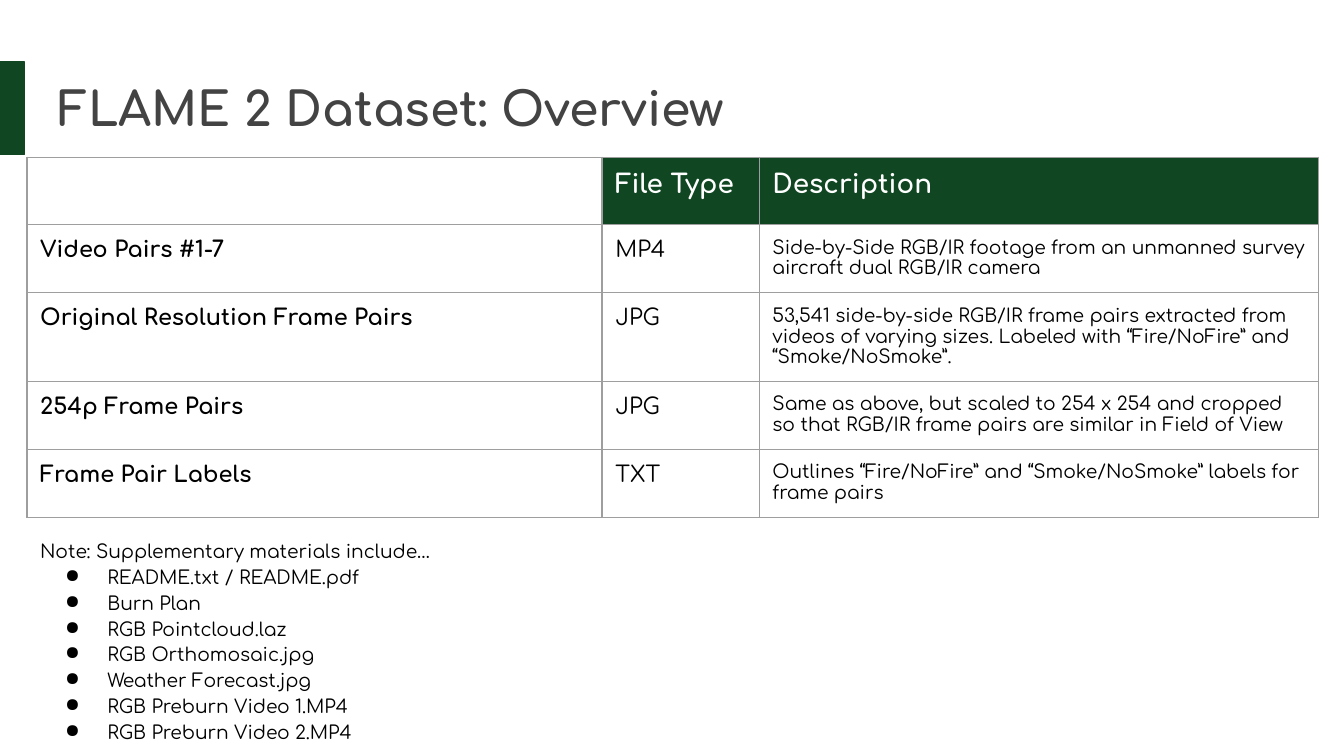
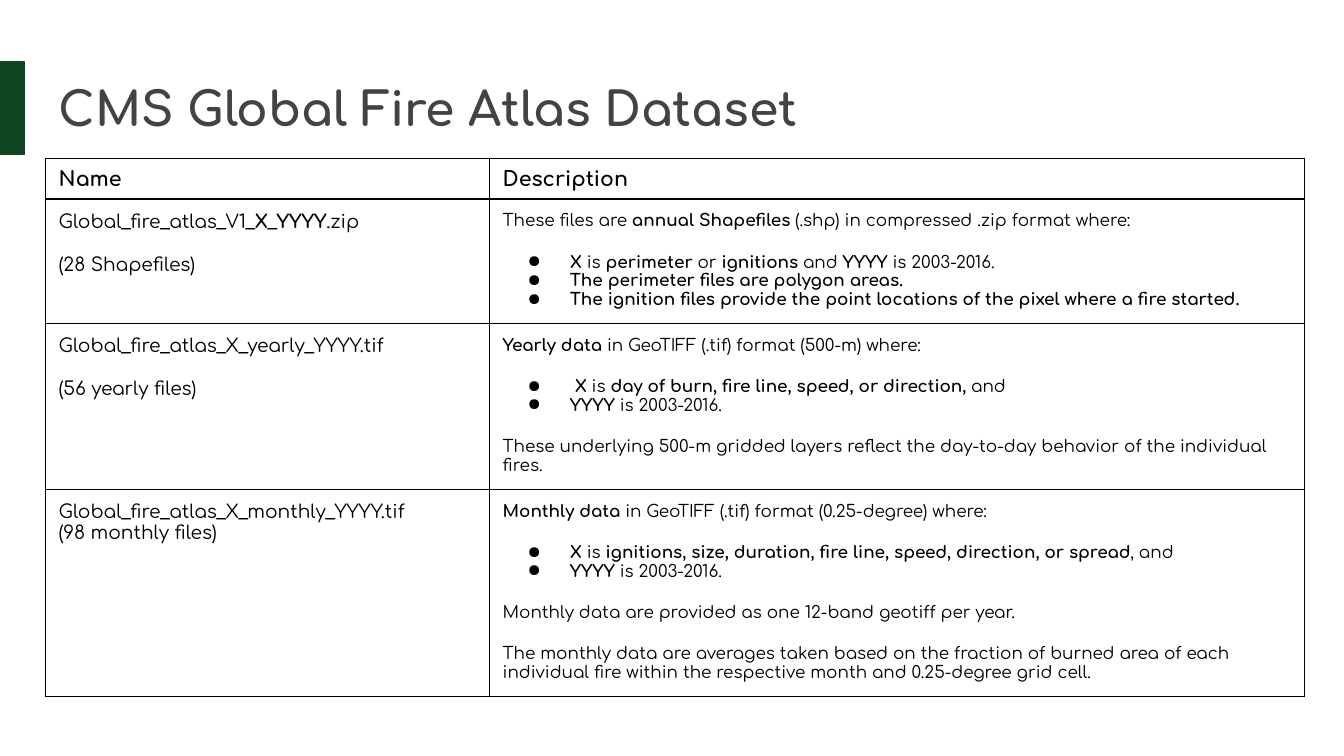
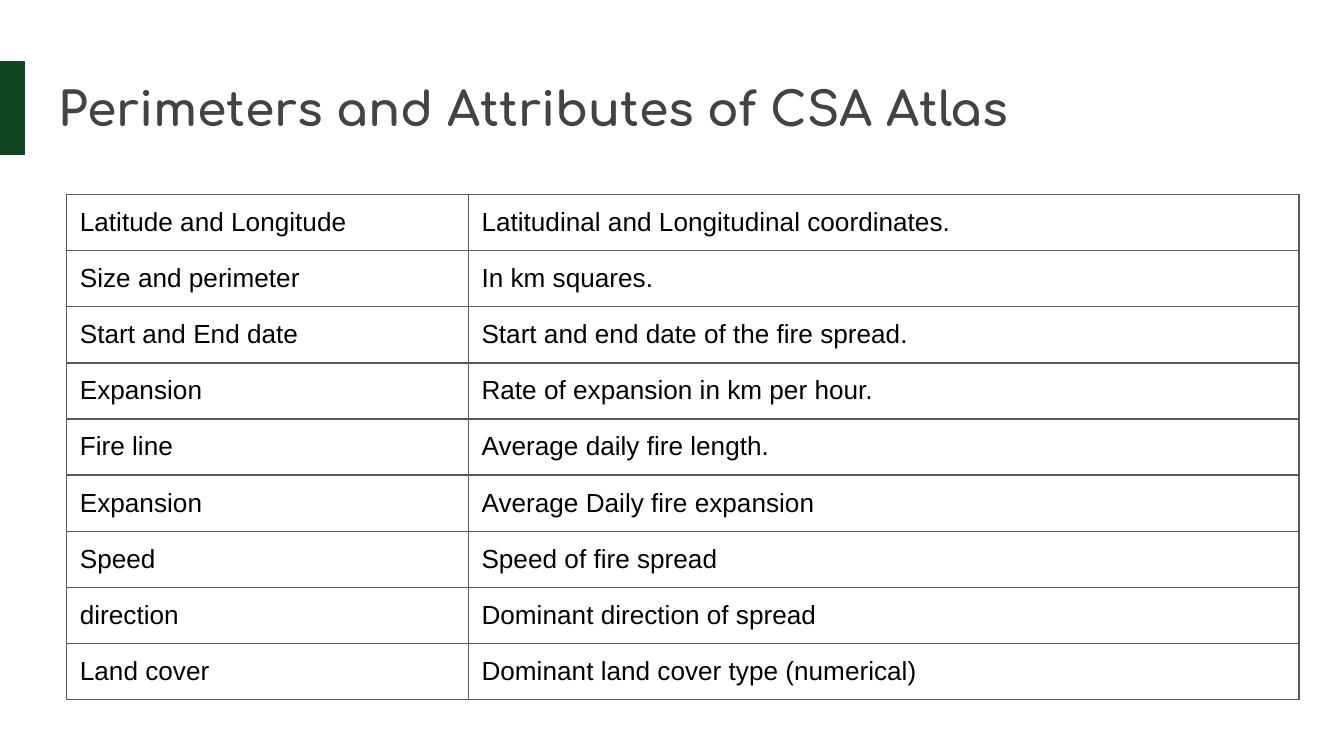
from collections import namedtuple

from lxml.etree import SubElement
from pptx import Presentation
from pptx.dml.color import RGBColor
from pptx.enum.shapes import MSO_SHAPE
from pptx.enum.text import MSO_ANCHOR, MSO_AUTO_SIZE, PP_ALIGN
from pptx.oxml.ns import qn
from pptx.util import Cm, Pt

COLORS = {
    "forest": "104722",
    "title": "434343",
    "ink": "000000",
    "paper": "FFFFFF",
    "soft_rule": "9E9E9E",
    "dark_rule": "595959",
}
INSET = Cm(0.25)
INSETS = {f"margin_{side}": INSET for side in ("left", "right", "top", "bottom")}
FLAT_INSETS = {**INSETS, "margin_top": 0, "margin_bottom": 0,
               "vertical_anchor": MSO_ANCHOR.MIDDLE}

Box = namedtuple("Box", "left top width height")
Para = namedtuple("Para", "text bullet gap spacing", defaults=(False, 0, 1.0))
Style = namedtuple("Style", "size bold color font", defaults=(False, "ink", "Comfortaa"))
Look = namedtuple("Look", "style fill frame", defaults=("paper", INSETS))

BAND = Box(0, 1.17, 0.46, 1.75)
HEADING = Box(0.86, 1.24, 23.67, 1.6)
HEADING_STYLE = Style(25.2, True, "title")

FLAME_HEAD = Look(Style(14, True, "paper"), "forest")
FLAME_LOOKS = [Look(Style(12, True)), Look(Style(12)), Look(Style(10))]
FLAME_ROWS = [
    ["", "File Type", "Description"],
    ["Video Pairs #1-7", "MP4",
     "Side-by-Side RGB/IR footage from an unmanned survey aircraft dual RGB/IR camera"],
    ["Original Resolution Frame Pairs", "JPG",
     "53,541 side-by-side RGB/IR frame pairs extracted from videos of varying sizes. "
     "Labeled with “Fire/NoFire” and “Smoke/NoSmoke”."],
    ["254p Frame Pairs", "JPG",
     "Same as above, but scaled to 254 x 254 and cropped so that RGB/IR frame pairs "
     "are similar in Field of View"],
    ["Frame Pair Labels", "TXT",
     "Outlines “Fire/NoFire” and “Smoke/NoSmoke” labels for frame pairs"],
]
SUPPLEMENTS = [
    "README.txt / README.pdf", "Burn Plan", "RGB Pointcloud.laz", "RGB Orthomosaic.jpg",
    "Weather Forecast.jpg", "RGB Preburn Video 1.MP4", "RGB Preburn Video 2.MP4",
]

ATLAS_HEAD = Look(Style(11, True), "paper", FLAT_INSETS)
ATLAS_LOOKS = [Look(Style(10)), Look(Style(9))]
ATLAS_ROWS = [
    [[Para("Name", spacing=1.15)], [Para("Description", spacing=1.15)]],
    [
        [Para("Global_fire_atlas_V1_**X**_**YYYY**.zip"), Para("(28 Shapefiles)", gap=12)],
        [
            Para("These files are **annual Shapefiles** (.shp) in compressed .zip format where:"),
            Para("**X** is **perimeter** or **ignitions** and **YYYY** is 2003-2016.", True, 12),
            Para("**The perimeter files are polygon areas.**", True),
            Para("**The ignition files provide the point locations of the pixel "
                 "where a fire started.**", True),
        ],
    ],
    [
        [Para("Global_fire_atlas_X_yearly_YYYY.tif"), Para("(56 yearly files)", gap=12)],
        [
            Para("**Yearly data** in GeoTIFF (.tif) format (500-m) where:"),
            Para(" **X** is **day of burn, fire line, speed, or direction, **and", True, 12),
            Para("**YYYY** is 2003-2016.", True),
            Para("These underlying 500-m gridded layers reflect the day-to-day behavior "
                 "of the individual fires.", gap=12),
        ],
    ],
    [
        [Para("Global_fire_atlas_X_monthly_YYYY.tif"), Para("(98 monthly files)")],
        [
            Para("**Monthly data** in GeoTIFF (.tif) format (0.25-degree) where:"),
            Para("**X** is **ignitions, size, duration, fire line, speed, direction, "
                 "or spread**, and", True, 12),
            Para("**YYYY** is 2003-2016.", True),
            Para("Monthly data are provided as one 12-band geotiff per year.", gap=12),
            Para("The monthly data are averages taken based on the fraction of burned area "
                 "of each individual fire within the respective month and 0.25-degree "
                 "grid cell.", gap=12),
        ],
    ],
]

ATTRIBUTE_LOOKS = [Look(Style(14, font="Arial"))] * 2
ATTRIBUTE_ROWS = [
    ["Latitude and Longitude", "Latitudinal and Longitudinal coordinates."],
    ["Size and perimeter", "In km squares."],
    ["Start and End date", "Start and end date of the fire spread."],
    ["Expansion", "Rate of expansion in km per hour."],
    ["Fire line", "Average daily fire length."],
    ["Expansion", "Average Daily fire expansion"],
    ["Speed", "Speed of fire spread"],
    ["direction", "Dominant direction of spread"],
    ["Land cover", "Dominant land cover type (numerical)"],
]


def rgb(name):
    """Return the named colour."""
    return RGBColor.from_string(COLORS[name])


def apply(target, values):
    """Set each format value on the target."""
    for attribute, value in values.items():
        setattr(target, attribute, value)


def place(shape, box):
    """Move a shape to a box given in centimetres."""
    apply(shape, {side: Cm(length) for side, length in box._asdict().items()})


def add_bullet(paragraph):
    """Give a paragraph a hanging round bullet."""
    properties = paragraph._p.get_or_add_pPr()
    properties.set("marL", str(Cm(1.27)))
    properties.set("indent", str(-Cm(0.8)))
    tint = SubElement(properties, qn("a:buClr"))
    SubElement(tint, qn("a:srgbClr"), val=COLORS["ink"])
    SubElement(properties, qn("a:buChar"), char="●")


def write(frame, paras, style):
    """Fill a text frame, with bold between double asterisks."""
    for index, para in enumerate(paras):
        paragraph = frame.add_paragraph() if index else frame.paragraphs[0]
        apply(paragraph, {"alignment": PP_ALIGN.LEFT, "line_spacing": para.spacing,
                          "space_before": Pt(para.gap)})
        if para.bullet:
            add_bullet(paragraph)
        for position, part in enumerate(para.text.split("**")):
            if part:
                run = paragraph.add_run()
                run.text = part
                apply(run.font, {"name": style.font, "size": Pt(style.size),
                                 "bold": style.bold or position % 2 == 1})
                run.font.color.rgb = rgb(style.color)


def add_borders(cell, color):
    """Rule all four sides of a cell."""
    properties = cell._tc.get_or_add_tcPr()
    for side in "LRTB":
        rule = SubElement(properties, qn(f"a:ln{side}"), w=str(Pt(0.75)))
        fill = SubElement(rule, qn("a:solidFill"))
        SubElement(fill, qn("a:srgbClr"), val=COLORS[color])


def fill_cell(cell, content, look, rule):
    """Rule, colour and write one cell."""
    add_borders(cell, rule)
    apply(cell, look.frame)
    if not content:
        cell.fill.background()
        return
    cell.fill.solid()
    cell.fill.fore_color.rgb = rgb(look.fill)
    paras = [Para(content)] if isinstance(content, str) else content
    write(cell.text_frame, paras, look.style)


def add_grid(slide, corner, widths, heights, rows, looks, rule, head=None):
    """Build a table from its corner, column widths and row heights."""
    box = Box(*corner, sum(widths), sum(heights))
    grid = slide.shapes.add_table(len(rows), len(widths), *map(Cm, box)).table
    apply(grid, {"first_row": head is not None, "horz_banding": False})
    for column, width in zip(grid.columns, widths):
        column.width = Cm(width)
    for r, (contents, height) in enumerate(zip(rows, heights)):
        grid.rows[r].height = Cm(height)
        for c, content in enumerate(contents):
            look = head if head and r == 0 else looks[c]
            fill_cell(grid.cell(r, c), content, look, rule)


def add_titled_slide(deck, heading):
    """Add a slide with the green side band and its title."""
    slide = deck.slides.add_slide(deck.slide_layouts[5])
    band = slide.shapes.add_shape(MSO_SHAPE.RECTANGLE, *map(Cm, BAND))
    band.shadow.inherit = False
    band.fill.solid()
    band.fill.fore_color.rgb = band.line.color.rgb = rgb("forest")
    band.line.width = Pt(0.75)
    title = slide.shapes.title
    place(title, HEADING)
    apply(title.text_frame, {**INSETS, "word_wrap": True, "auto_size": MSO_AUTO_SIZE.NONE,
                             "vertical_anchor": MSO_ANCHOR.MIDDLE})
    write(title.text_frame, [Para(heading)], HEADING_STYLE)
    return slide


def add_supplements(slide, box):
    """List the supplementary materials in a box."""
    note = slide.shapes.add_textbox(*map(Cm, box)).text_frame
    apply(note, {**INSETS, "word_wrap": True})
    lines = [Para(name, bullet=True, spacing=1.15) for name in SUPPLEMENTS]
    write(note, [Para("Note: Supplementary materials include…"), *lines], Style(10))


def flame_slide(deck):
    """Show the parts of the FLAME 2 dataset."""
    slide = add_titled_slide(deck, "FLAME 2 Dataset: Overview")
    add_grid(slide, (0.51, 2.97), [10.87, 2.97, 10.57], [1.23, 1.29, 1.66, 1.29, 1.29],
             FLAME_ROWS, FLAME_LOOKS, "soft_rule", FLAME_HEAD)
    add_supplements(slide, Box(0.51, 9.96, 24.41, 4.32))


def atlas_slide(deck):
    """Show the files of the fire atlas."""
    slide = add_titled_slide(deck, "CMS Global Fire Atlas Dataset")
    add_grid(slide, (0.86, 2.99), [8.39, 15.4], [0.77, 2.35, 3.14, 3.92],
             ATLAS_ROWS, ATLAS_LOOKS, "ink", ATLAS_HEAD)


def attributes_slide(deck):
    """Show the attributes recorded for each fire."""
    slide = add_titled_slide(deck, "Perimeters and Attributes of CSA Atlas")
    add_grid(slide, (1.26, 3.68), [7.59, 15.7], [1.06] * len(ATTRIBUTE_ROWS),
             ATTRIBUTE_ROWS, ATTRIBUTE_LOOKS, "dark_rule")


def main():
    """Build the deck and save it."""
    deck = Presentation()
    apply(deck, {"slide_width": Cm(25.4), "slide_height": Cm(14.29)})
    for build in (flame_slide, atlas_slide, attributes_slide):
        build(deck)
    deck.save("out.pptx")


if __name__ == "__main__":
    main()
